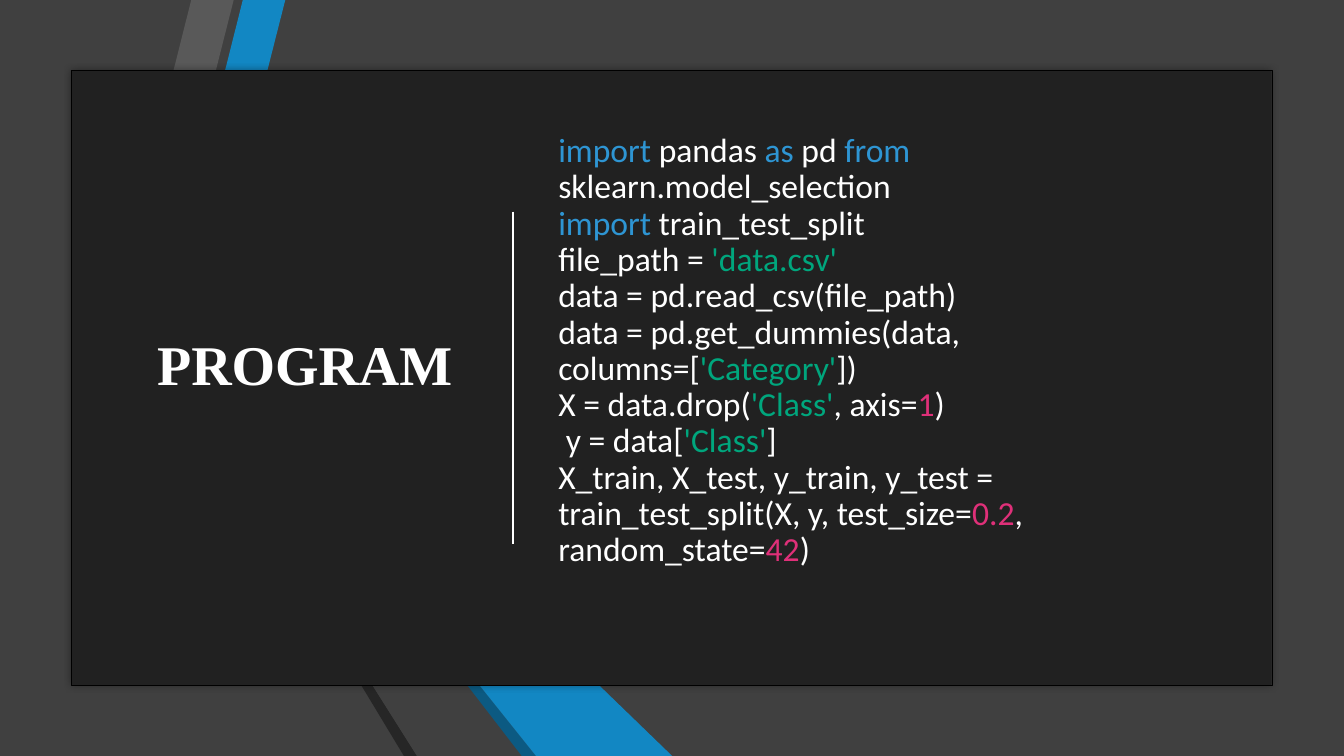
import pptx
import pptx.util
import pptx.dml.color
import pptx.enum.shapes
import pptx.enum.text
import pptx.oxml
import pptx.oxml.ns
from pptx.util import Cm

WIDTH, HEIGHT = 33.87, 19.05
WHITE, KEYWORD, STRING, NUMBER = "FFFFFF", "2E95D3", "00A67D", "DF3079"

RIBBONS = [
    ("1287C3", [(1.22, 7.47), (2.21, 7.72), (4.17, 0), (3.1, 0)]),
    ("595959", [(0.99, 7.42), (2.87, 0), (1.8, 0), (0, 7.16)]),
    ("262626", [(0, 7.19), (7.16, HEIGHT), (7.49, HEIGHT)]),
    ("0C5A82", [(10.49, HEIGHT), (1.22, 7.49), (10.13, HEIGHT)]),
    ("1287C3", [(1.22, 7.47), (10.49, HEIGHT), (13.92, HEIGHT), (2.21, 7.72)]),
    ("404040", [(9.96, HEIGHT), (1.17, 7.67), (1.02, 7.44), (0, 7.16), (7.49, HEIGHT)]),
]

CODE = [
    [("import", KEYWORD), (" pandas ", WHITE), ("as", KEYWORD), (" pd ", WHITE),
     ("from ", KEYWORD), ("sklearn.model_selection", WHITE)],
    [("import ", KEYWORD), ("train_test_split", WHITE)],
    [("file_path = ", WHITE), ("'data.csv'", STRING)],
    [("data = pd.read_csv(file_path)", WHITE)],
    [("data = pd.get_dummies(data, columns=[", WHITE), ("'Category'", STRING), ("])", WHITE)],
    [("X = data.drop(", WHITE), ("'Class'", STRING), (", axis=", WHITE),
     ("1", NUMBER), (")", WHITE)],
    [(" y = data[", WHITE), ("'Class'", STRING), ("]", WHITE)],
    [("X_train, X_test, y_train, y_test = train_test_split(X, y, test_size=", WHITE),
     ("0.2", NUMBER), (", random_state=", WHITE), ("42", NUMBER), (")", WHITE)],
]


def color(value):
    return pptx.dml.color.RGBColor.from_string(value)


def paint(shape, fill):
    shape.shadow.inherit = False
    shape.fill.solid()
    shape.fill.fore_color.rgb = color(fill)
    shape.line.fill.background()


def add_rectangle(page, left, top, width, height, fill):
    kind = pptx.enum.shapes.MSO_SHAPE.RECTANGLE
    shape = page.shapes.add_shape(kind, Cm(left), Cm(top), Cm(width), Cm(height))
    paint(shape, fill)
    return shape


def add_ribbons(page, left, top):
    for fill, corners in RIBBONS:
        points = [(Cm(left + x), Cm(top + y)) for x, y in corners]
        builder = page.shapes.build_freeform(*points[0], scale=1.0)
        builder.add_line_segments(points[1:], close=True)
        paint(builder.convert_to_shape(), fill)


def add_panel(page, left, top, width, height):
    panel = add_rectangle(page, left, top, width, height, "212121")
    panel.line.color.rgb = color("000000")
    panel.line.width = pptx.util.Pt(0.25)
    effects = panel._element.spPr.find(pptx.oxml.ns.qn("a:effectLst"))
    effects.append(pptx.oxml.parse_xml(
        f'<a:outerShdw {pptx.oxml.ns.nsdecls("a")} blurRad="{pptx.util.Pt(5)}" dist="0" dir="0">'
        '<a:srgbClr val="000000"><a:alpha val="40000"/></a:srgbClr></a:outerShdw>'))


def add_text(page, left, top, width, height, font_name, size):
    box = page.shapes.add_textbox(Cm(left), Cm(top), Cm(width), Cm(height))
    frame = box.text_frame
    frame.word_wrap = True
    para = frame.paragraphs[0]
    para.font.name = font_name
    para.font.size = pptx.util.Pt(size)
    return frame, para


def add_code(page, left, top, width, height):
    frame, para = add_text(page, left, top, width, height, "Calibri", 24)
    frame.vertical_anchor = pptx.enum.text.MSO_ANCHOR.MIDDLE
    frame.margin_bottom = Cm(1.04)
    para.line_spacing = 0.9
    for number, line in enumerate(CODE):
        if number:
            para.add_line_break()
        for text, tint in line:
            span = para.add_run()
            span.text = text
            span.font.color.rgb = color(tint)


def add_divider(page, x, top, length):
    divider = page.shapes.add_connector(
        pptx.enum.shapes.MSO_CONNECTOR.STRAIGHT, Cm(x), Cm(top), Cm(x), Cm(top + length))
    divider.line.color.rgb = color(WHITE)
    divider.line.width = pptx.util.Pt(1.25)
    divider._element.spPr.append(
        pptx.oxml.parse_xml(f'<a:effectLst {pptx.oxml.ns.nsdecls("a")}/>'))


def add_heading(page, left, top, width, height):
    frame, para = add_text(page, left, top, width, height, "Times New Roman", 40)
    para.font.bold = True
    para.font.color.rgb = color(WHITE)
    para.add_run().text = "PROGRAM"


def add_program_page(deck):
    page = deck.slides.add_slide(deck.slide_layouts[6])
    page.background.fill.solid()
    page.background.fill.fore_color.rgb = color("212121")
    add_rectangle(page, 0, 0, WIDTH, HEIGHT, "404040")
    add_ribbons(page, 3.02, 0)
    left, top = 1.8, 1.78
    add_panel(page, left, top, 30.25, 15.49)
    add_code(page, left + 12.02, top + 0.66, 16.76, 13.74)
    add_divider(page, left + 11.13, top + 3.55, 8.39)
    add_heading(page, left + 1.91, top + 6.4, 8.18, 1.96)


def main():
    deck = pptx.Presentation()
    deck.slide_width = Cm(WIDTH)
    deck.slide_height = Cm(HEIGHT)
    add_program_page(deck)
    deck.save("out.pptx")


if __name__ == "__main__":
    main()
